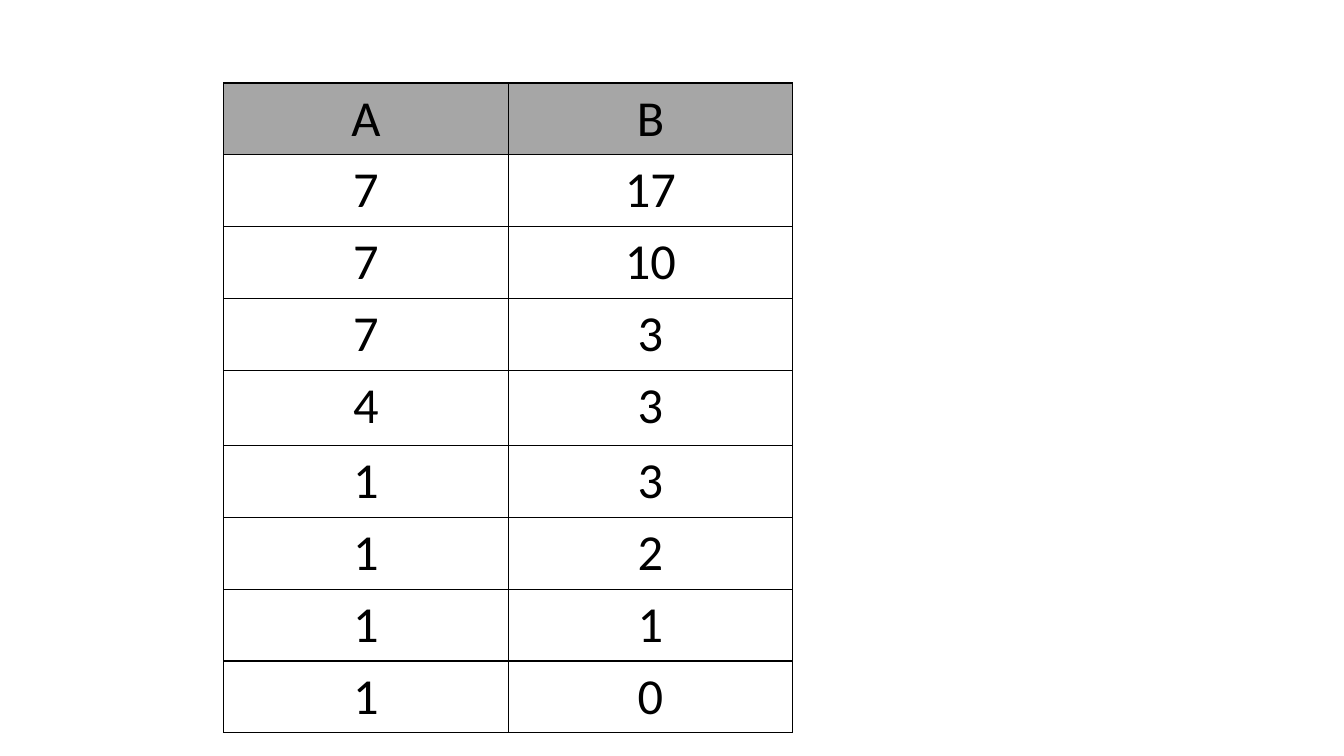
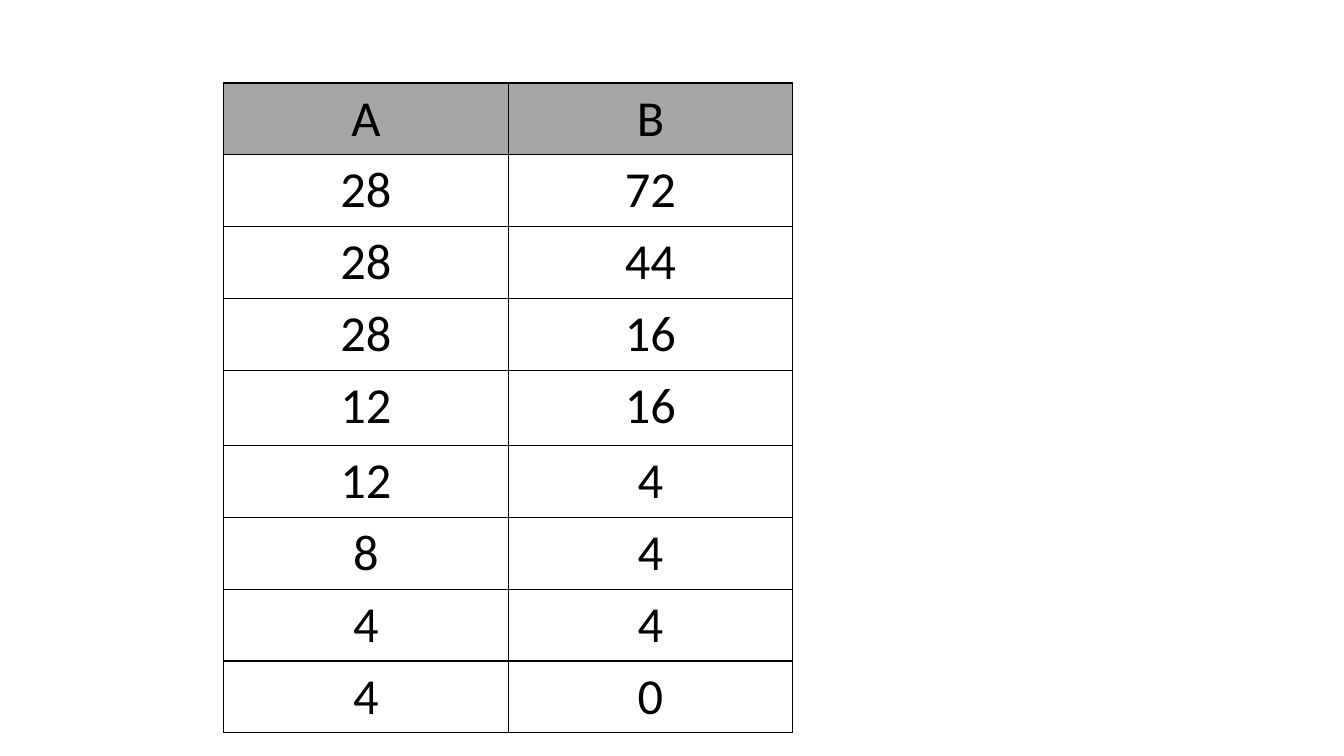
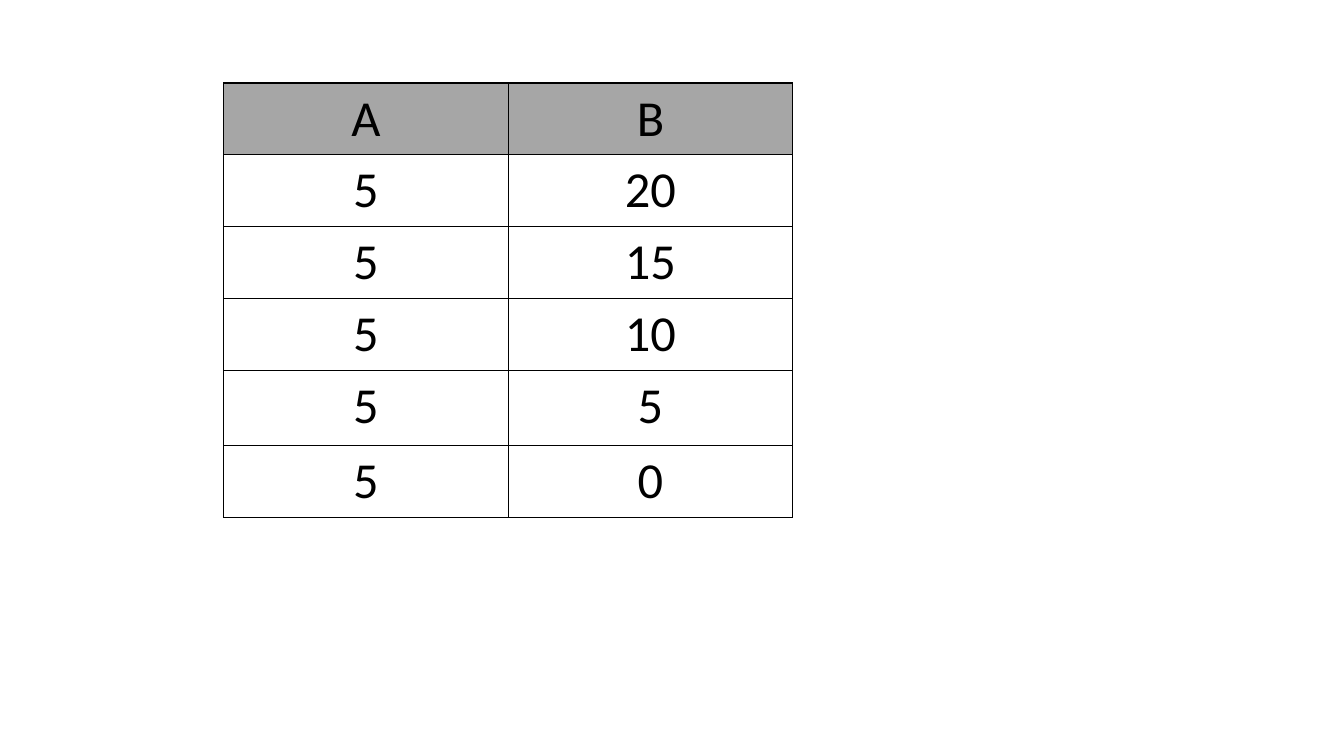
from dataclasses import dataclass

from lxml.etree import SubElement
from pptx import Presentation
from pptx.dml.color import RGBColor
from pptx.enum.text import PP_ALIGN
from pptx.oxml.ns import qn
from pptx.presentation import Presentation as Deck
from pptx.table import _Cell
from pptx.util import Emu, Pt

# Shared style
EMU_PER_PX = 9525
SLIDE_WIDTH, SLIDE_HEIGHT = 1280, 720
GRID_LEFT, GRID_TOP = 213, 79
COLUMN_WIDTH = 271
ROW_HEIGHT, TALL_ROW_HEIGHT = 67, 72
TALL_ROW = 4
FONT_NAME = "Calibri"
FONT_SIZE = Pt(36)
BORDER_WIDTH = Pt(1)
BLACK = RGBColor(0x00, 0x00, 0x00)
HEADER_GRAY = RGBColor(0xA6, 0xA6, 0xA6)
HEADER = ("A", "B")


@dataclass(frozen=True)
class Trace:
    """Successive values of A and B, one pair per step."""

    steps: tuple[tuple[int, int], ...]


TRACES = (
    Trace(((7, 17), (7, 10), (7, 3), (4, 3), (1, 3), (1, 2), (1, 1), (1, 0))),
    Trace(((28, 72), (28, 44), (28, 16), (12, 16), (12, 4), (8, 4), (4, 4), (4, 0))),
    Trace(((5, 20), (5, 15), (5, 10), (5, 5), (5, 0))),
)


def px(length: int) -> Emu:
    return Emu(length * EMU_PER_PX)


def draw_borders(cell: _Cell) -> None:
    properties = cell._tc.get_or_add_tcPr()
    for side in ("a:lnL", "a:lnR", "a:lnT", "a:lnB"):
        border = SubElement(properties, qn(side), w=str(BORDER_WIDTH))
        fill = SubElement(border, qn("a:solidFill"))
        SubElement(fill, qn("a:srgbClr"), val=str(BLACK))


def fill_cell(cell: _Cell, content: str, is_header: bool) -> None:
    draw_borders(cell)
    if is_header:
        cell.fill.solid()
        cell.fill.fore_color.rgb = HEADER_GRAY
    else:
        cell.fill.background()
    paragraph = cell.text_frame.paragraphs[0]
    paragraph.text = content
    paragraph.alignment = PP_ALIGN.CENTER
    font = paragraph.runs[0].font
    font.name = FONT_NAME
    font.size = FONT_SIZE
    font.color.rgb = BLACK


def add_trace_slide(deck: Deck, trace: Trace) -> None:
    slide = deck.slides.add_slide(deck.slide_layouts[6])
    rows = (HEADER, *trace.steps)
    heights = [TALL_ROW_HEIGHT if i == TALL_ROW else ROW_HEIGHT for i in range(len(rows))]
    grid = slide.shapes.add_table(
        len(rows), len(HEADER), px(GRID_LEFT), px(GRID_TOP),
        px(COLUMN_WIDTH * len(HEADER)), px(sum(heights)),
    ).table
    grid.first_row = False
    grid.horz_banding = False
    for column in grid.columns:
        column.width = px(COLUMN_WIDTH)
    for r, (values, height) in enumerate(zip(rows, heights)):
        grid.rows[r].height = px(height)
        for c, value in enumerate(values):
            fill_cell(grid.cell(r, c), str(value), is_header=r == 0)


def main() -> None:
    deck = Presentation()
    deck.slide_width, deck.slide_height = px(SLIDE_WIDTH), px(SLIDE_HEIGHT)
    for trace in TRACES:
        add_trace_slide(deck, trace)
    deck.save("out.pptx")


if __name__ == "__main__":
    main()
